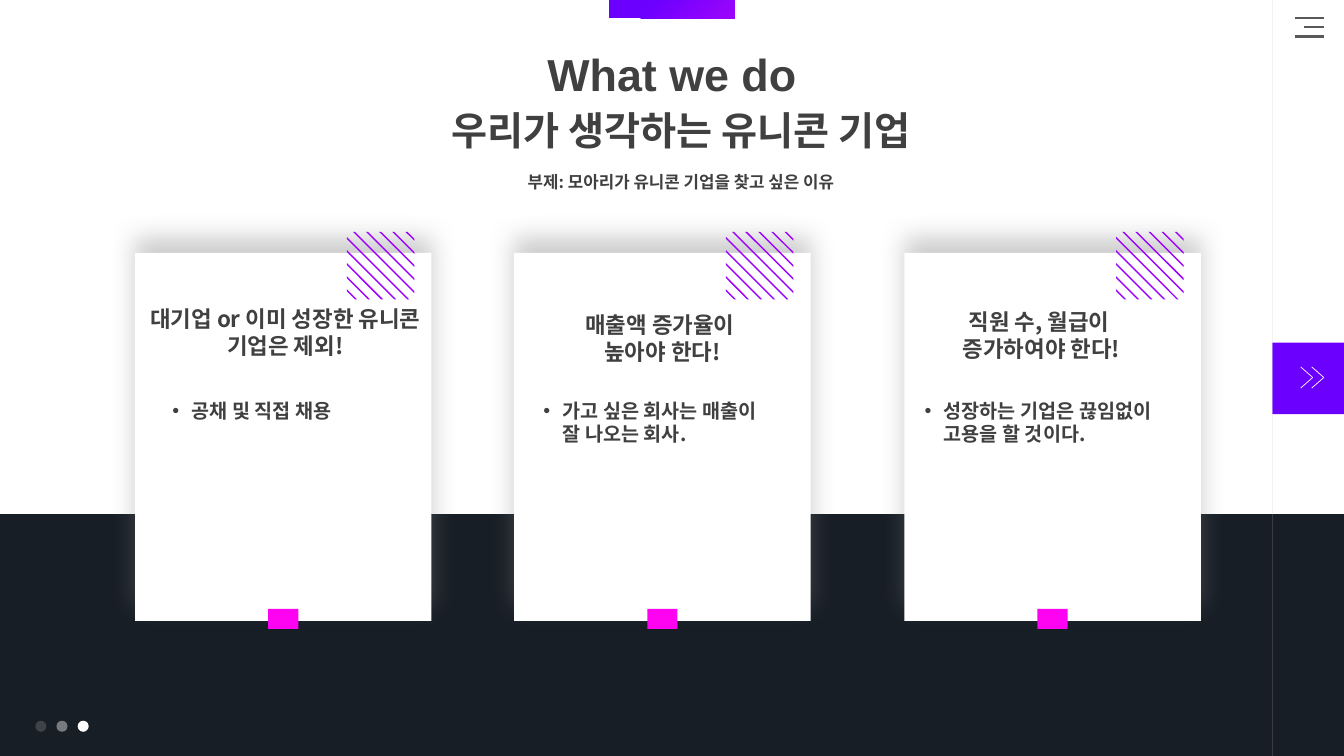
from dataclasses import dataclass

from lxml.etree import SubElement
from pptx import Presentation
from pptx.dml.color import RGBColor
from pptx.enum.shapes import MSO_CONNECTOR, MSO_SHAPE
from pptx.enum.text import MSO_ANCHOR, MSO_AUTO_SIZE, PP_ALIGN
from pptx.oxml.ns import qn
from pptx.shapes.autoshape import Shape
from pptx.slide import Slide
from pptx.text.text import TextFrame
from pptx.util import Inches, Pt


@dataclass(frozen=True)
class Theme:
    white: str = "FFFFFF"
    navy: str = "181E26"
    text: str = "404040"
    menu: str = "595959"
    divider: str = "BFBFBF"
    violet: str = "6C00FF"
    purple: str = "9D05FB"
    pink: str = "FD03F1"
    shadow: str = "808080"
    latin_font: str = "Arial"
    korean_font: str = "Noto Sans CJK KR"
    title_size: int = 32
    headline_size: int = 28
    heading_size: int = 16
    list_size: int = 14
    subtitle_size: int = 12
    line_height: float = 1.19


@dataclass(frozen=True)
class Box:
    left: float
    top: float
    width: float
    height: float


@dataclass(frozen=True)
class Card:
    left: float
    heading_box: Box
    heading: tuple[str, ...]
    list_box: Box
    item: str


@dataclass(frozen=True)
class Stroke:
    start: tuple[float, float]
    end: tuple[float, float]
    color: str
    width: float
    opacity: int = 100


THEME = Theme()
CARD_TOP, CARD_WIDTH, CARD_HEIGHT = 2.51, 2.94, 3.65
CARDS = (
    Card(1.34, Box(1.37, 2.98, 2.92, 0.64), ("대기업 or 이미 성장한 유니콘 기업은 제외!",),
         Box(1.61, 3.91, 2.46, 0.34), "공채 및 직접 채용"),
    Card(5.10, Box(5.11, 3.04, 2.92, 0.64), ("매출액 증가율이 ", "높아야 한다!"),
         Box(5.29, 3.91, 2.51, 0.57), "가고 싶은 회사는 매출이 잘 나오는 회사."),
    Card(8.97, Box(8.87, 3.01, 2.92, 0.64), ("직원 수, 월급이 ", "증가하여야 한다!"),
         Box(9.07, 3.91, 2.79, 0.57), "성장하는 기업은 끊임없이 고용을 할 것이다."),
)
STROKES = (
    # Menu icon
    *(Stroke((left, 0.18 + 0.09 * row), (13.13, 0.18 + 0.09 * row), THEME.menu, 1.75)
      for row, left in enumerate((12.84, 12.93, 12.84))),
    # Double chevron
    *(Stroke((tip - 0.12, outer), (tip, 3.745), THEME.white, 0.5)
      for tip in (13.02, 13.13) for outer in (3.64, 3.85)),
    # Sidebar divider
    Stroke((12.62, 0), (12.62, 7.5), THEME.divider, 0.5, 29),
)


def set_opacity(element, percent: int) -> None:
    if percent < 100:
        color = next(element.iter(qn("a:srgbClr")))
        SubElement(color, qn("a:alpha"), val=str(percent * 1000))


def place(shape: Shape, box: Box) -> None:
    shape.left, shape.top = Inches(box.left), Inches(box.top)
    shape.width, shape.height = Inches(box.width), Inches(box.height)


def paint(shape: Shape, color: str, opacity: int = 100) -> None:
    shape.shadow.inherit = False
    shape.line.fill.background()
    shape.fill.solid()
    shape.fill.fore_color.rgb = RGBColor.from_string(color)
    set_opacity(shape.element.spPr, opacity)


def add_block(slide: Slide, box: Box, color: str, opacity: int = 100,
              kind: MSO_SHAPE = MSO_SHAPE.RECTANGLE) -> Shape:
    shape = slide.shapes.add_shape(kind, 0, 0, 0, 0)
    place(shape, box)
    paint(shape, color, opacity)
    return shape


def add_stroke(slide: Slide, stroke: Stroke) -> None:
    points = [Inches(value) for value in (*stroke.start, *stroke.end)]
    connector = slide.shapes.add_connector(MSO_CONNECTOR.STRAIGHT, *points)
    connector.line.color.rgb = RGBColor.from_string(stroke.color)
    connector.line.width = Pt(stroke.width)
    set_opacity(connector.element.spPr, stroke.opacity)
    SubElement(connector.element.spPr, qn("a:effectLst"))


def add_card_shadow(shape: Shape) -> None:
    effects = shape.element.spPr.find(qn("a:effectLst"))
    shadow = SubElement(effects, qn("a:outerShdw"), blurRad=str(Pt(18)), dist=str(Pt(11)),
                        dir=str(270 * 60000), algn="b", rotWithShape="0")
    SubElement(shadow, qn("a:srgbClr"), val=THEME.shadow)
    set_opacity(shadow, 40)


def add_stripes(slide: Slide, left: float, top: float) -> None:
    side, pitch, thick = 0.67, 0.13, 0.02
    contours = []
    for index in range(5):
        low = 0.57 - pitch * index
        contours.append(((0, low), (side - low, side), (side - low - thick, side), (0, low + thick)))
        high = 0.58 - pitch * index
        contours.append(((high, 0), (high + thick, 0), (side, side - high - thick), (side, side - high)))
    builder = None
    for contour in contours:
        first, *others = [(Inches(left + x), Inches(top + y)) for x, y in contour]
        if builder is None:
            builder = slide.shapes.build_freeform(*first)
        else:
            builder.move_to(*first)
        builder.add_line_segments(others, close=True)
    paint(builder.convert_to_shape(), THEME.purple)


def prepare_text(shape: Shape, box: Box) -> TextFrame:
    place(shape, box)
    shape.element.getparent().append(shape.element)
    frame = shape.text_frame
    frame.word_wrap = True
    frame.auto_size = MSO_AUTO_SIZE.NONE
    frame.vertical_anchor = MSO_ANCHOR.TOP
    return frame


def write_line(frame: TextFrame, text: str, size: int, first: bool = True, bullet: bool = False,
               font: str = THEME.korean_font, space_before: float = 0) -> None:
    paragraph = frame.paragraphs[0] if first else frame.add_paragraph()
    paragraph.alignment = PP_ALIGN.LEFT if bullet else PP_ALIGN.CENTER
    paragraph.space_before = Pt(space_before)
    if font == THEME.korean_font:
        paragraph.line_spacing = Pt(size * THEME.line_height)
    properties = paragraph._p.get_or_add_pPr()
    indent = Inches(0.19) if bullet else 0
    properties.set("marL", str(indent))
    properties.set("indent", str(-indent))
    if bullet:
        SubElement(properties, qn("a:buFont"), typeface=THEME.latin_font)
        SubElement(properties, qn("a:buChar"), char="•")
    else:
        SubElement(properties, qn("a:buNone"))
    run = paragraph.add_run()
    run.text = text
    run.font.size = Pt(size)
    run.font.bold = True
    run.font.color.rgb = RGBColor.from_string(THEME.text)
    run.font.name = font
    SubElement(run.font._element, qn("a:ea"), typeface=font)


def main() -> None:
    presentation = Presentation()
    presentation.slide_width, presentation.slide_height = Inches(13.33), Inches(7.5)
    slide = presentation.slides.add_slide(presentation.slide_layouts[4])
    title, introduction, *lists = slide.placeholders

    # Background, sidebar and page dots
    add_block(slide, Box(0, 5.1, 13.33, 2.4), THEME.navy)
    add_block(slide, Box(12.62, 3.4, 0.71, 0.71), THEME.violet)
    for stroke in STROKES:
        add_stroke(slide, stroke)
    for index, opacity in enumerate((17, 41, 100)):
        add_block(slide, Box(0.35 + 0.21 * index, 7.15, 0.11, 0.11), THEME.white, opacity, MSO_SHAPE.OVAL)

    # Title area
    tab = add_block(slide, Box(6.04, 0, 1.25, 0.18), THEME.violet)
    tab.fill.gradient()
    tab.fill.gradient_angle = 315
    for stop, position, color in zip(tab.fill.gradient_stops, (0.32, 1), (THEME.violet, THEME.purple)):
        stop.position = position
        stop.color.rgb = RGBColor.from_string(color)
    frame = prepare_text(title, Box(4.75, 0.41, 3.83, 0.64))
    write_line(frame, "What we do", THEME.title_size, font=THEME.latin_font)
    frame = prepare_text(introduction, Box(3.42, 1.01, 6.67, 0.98))
    write_line(frame, "우리가 생각하는 유니콘 기업", THEME.headline_size)
    write_line(frame, "부제: 모아리가 유니콘 기업을 찾고 싶은 이유", THEME.subtitle_size,
               first=False, space_before=13)

    # Cards
    for card, placeholder in zip(CARDS, lists):
        add_card_shadow(add_block(slide, Box(card.left, CARD_TOP, CARD_WIDTH, CARD_HEIGHT), THEME.white))
        add_stripes(slide, card.left + 2.1, 2.3)
        add_block(slide, Box(card.left + 1.32, 6.04, 0.3, 0.2), THEME.pink)
        frame = prepare_text(slide.shapes.add_textbox(0, 0, 0, 0), card.heading_box)
        for index, line in enumerate(card.heading):
            write_line(frame, line, THEME.heading_size, first=index == 0)
        frame = prepare_text(placeholder, card.list_box)
        write_line(frame, card.item, THEME.list_size, bullet=True)

    presentation.save("out.pptx")


if __name__ == "__main__":
    main()
